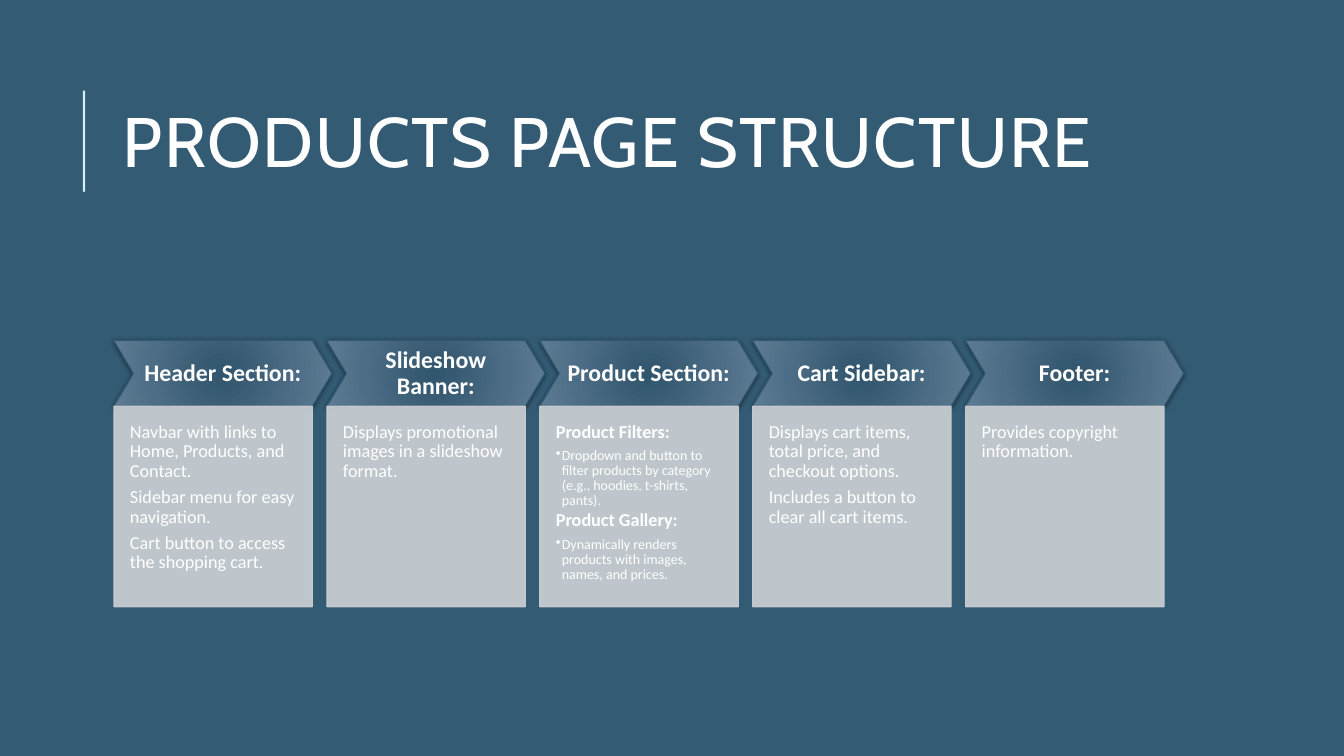
from dataclasses import dataclass

from pptx import Presentation
from pptx import util as u
from pptx.dml.color import RGBColor
from pptx.enum import shapes, text
from pptx.oxml import parse_xml
from pptx.oxml.ns import nsdecls, qn

COLUMNS, ROWS = 160, 90
CELL = u.Inches(1) // 12


@dataclass(frozen=True)
class Theme:
    background: str = "335B74"
    accent: str = "1CADE4"
    ink: str = "FFFFFF"
    panel: str = "CED2D6"
    arrow_inner: str = "30556C"
    arrow_outer: str = "5D7B94"
    shadow: str = "000000"
    title_font: str = "Cabin"
    body_font: str = "Calibri"
    title_size: int = 50
    heading_size: int = 17
    body_size: int = 13
    detail_size: int = 10


@dataclass(frozen=True)
class Area:
    column: float
    row: float
    columns: float
    rows: float

    def emu(self) -> tuple:
        return tuple(cells(n) for n in (self.column, self.row, self.columns, self.rows))


@dataclass(frozen=True)
class Entry:
    text: str
    bold: bool = False
    bullet: bool = False


@dataclass(frozen=True)
class Section:
    heading: str
    entries: tuple


THEME = Theme()
TITLE_AREA = Area(13.44, 7.68, 127.56, 19.68)
RULE_COLUMN, RULE_TOP, RULE_BOTTOM = 10, 10.8, 22.8
FIRST_COLUMN, PITCH = 13.56, 25.35
ARROW_TOP, ARROW_WIDTH, ARROW_HEIGHT = 40.56, 25.95, 7.8
PANEL_WIDTH, PANEL_HEIGHT = 23.64, 23.88

SECTIONS = (
    Section("Header Section:", (
        Entry("Navbar with links to Home, Products, and Contact."),
        Entry("Sidebar menu for easy navigation."),
        Entry("Cart button to access the shopping cart."),
    )),
    Section("Slideshow Banner:", (
        Entry("Displays promotional images in a slideshow format."),
    )),
    Section("Product Section:", (
        Entry("Product Filters:", bold=True),
        Entry("Dropdown and button to filter products by category "
              "(e.g., hoodies, t-shirts, pants).", bullet=True),
        Entry("Product Gallery:", bold=True),
        Entry("Dynamically renders products with images, names, and prices.", bullet=True),
    )),
    Section("Cart Sidebar:", (
        Entry("Displays cart items, total price, and checkout options."),
        Entry("Includes a button to clear all cart items."),
    )),
    Section("Footer:", (Entry("Provides copyright information."),)),
)


def cells(count: float) -> int:
    return round(count * CELL)


def color(value: str) -> RGBColor:
    return RGBColor.from_string(value)


def set_opacity(shape, percent: int) -> None:
    for tone in shape._element.spPr.iter(qn("a:srgbClr")):
        tone.append(parse_xml(f'<a:alpha {nsdecls("a")} val="{percent * 1000}"/>'))


def prepare_frame(box, *, anchor, margins: tuple):
    frame = box.text_frame
    frame.word_wrap = True
    frame.vertical_anchor = anchor
    frame.margin_left, frame.margin_top, frame.margin_right, frame.margin_bottom = (
        cells(margin) for margin in margins)
    return frame


def write(para, words: str, *, size: int, font: str = THEME.body_font, bold: bool = False,
          align=text.PP_ALIGN.LEFT, line_spacing: float = 0.9, after: float = 0,
          tracking: int = 0, bullet: bool = False) -> None:
    para.alignment = align
    para.line_spacing = line_spacing
    para.space_before = u.Pt(0)
    para.space_after = u.Pt(after)
    if bullet:
        para.level = 1
        properties = para._p.get_or_add_pPr()
        properties.set("marL", str(u.Inches(0.06)))
        properties.set("indent", str(-u.Inches(0.06)))
        properties.append(parse_xml(f'<a:buChar {nsdecls("a")} char="•"/>'))
    span = para.add_run()
    span.text = words
    span.font.name = font
    span.font.size = u.Pt(size)
    span.font.bold = bold
    span.font.color.rgb = color(THEME.ink)
    if tracking:
        span.font._element.set("spc", str(tracking * 100))


def draw_rule(page, tone: str, opacity: int) -> None:
    rule = page.shapes.add_connector(
        shapes.MSO_CONNECTOR.STRAIGHT, cells(RULE_COLUMN), cells(RULE_BOTTOM),
        cells(RULE_COLUMN), cells(RULE_TOP))
    rule.line.color.rgb = color(tone)
    rule.line.width = u.Pt(1.5)
    rule._element.spPr.append(parse_xml(f'<a:effectLst {nsdecls("a")}/>'))
    set_opacity(rule, opacity)


def draw_title(page) -> None:
    box = page.shapes.add_textbox(*TITLE_AREA.emu())
    frame = prepare_frame(box, anchor=text.MSO_ANCHOR.MIDDLE, margins=(1.2, 0.6, 1.2, 0.6))
    write(frame.paragraphs[0], "PRODUCTS PAGE STRUCTURE", size=THEME.title_size,
          font=THEME.title_font, line_spacing=0.8, tracking=1)


def add_block(page, kind, area: Area, outline: str):
    block = page.shapes.add_shape(kind, *area.emu())
    block.shadow.inherit = False
    block.line.color.rgb = color(outline)
    block.line.width = u.Pt(0.75)
    return block


def draw_arrow(page, column: float, heading: str) -> None:
    arrow = add_block(page, shapes.MSO_SHAPE.CHEVRON,
                      Area(column, ARROW_TOP, ARROW_WIDTH, ARROW_HEIGHT), THEME.background)
    arrow.adjustments[0] = 0.3
    arrow.fill.background()
    properties = arrow._element.spPr
    properties.replace(properties.find(qn("a:noFill")), parse_xml(
        f'<a:gradFill {nsdecls("a")} rotWithShape="1"><a:gsLst>'
        f'<a:gs pos="0"><a:srgbClr val="{THEME.arrow_inner}"/></a:gs>'
        f'<a:gs pos="100000"><a:srgbClr val="{THEME.arrow_outer}"/></a:gs></a:gsLst>'
        '<a:path path="circle"><a:fillToRect l="100000" t="100000" r="100000" b="100000"/>'
        '</a:path></a:gradFill>'))
    properties.find(qn("a:effectLst")).append(parse_xml(
        f'<a:outerShdw {nsdecls("a")} blurRad="{u.Pt(4)}" dist="{u.Pt(1)}" dir="5400000" '
        f'rotWithShape="0"><a:srgbClr val="{THEME.shadow}"><a:alpha val="50000"/>'
        '</a:srgbClr></a:outerShdw>'))
    frame = prepare_frame(arrow, anchor=text.MSO_ANCHOR.MIDDLE, margins=(0.96,) * 4)
    write(frame.paragraphs[0], heading, size=THEME.heading_size, bold=True,
          align=text.PP_ALIGN.CENTER)


def draw_panel(page, column: float, entries: tuple) -> None:
    panel = add_block(page, shapes.MSO_SHAPE.RECTANGLE,
                      Area(column, ARROW_TOP + ARROW_HEIGHT, PANEL_WIDTH, PANEL_HEIGHT),
                      THEME.panel)
    panel.fill.solid()
    panel.fill.fore_color.rgb = color(THEME.panel)
    set_opacity(panel, 90)
    frame = prepare_frame(panel, anchor=text.MSO_ANCHOR.TOP, margins=(1.92, 1.92, 1.92, 3.72))
    for index, entry in enumerate(entries):
        para = frame.add_paragraph() if index else frame.paragraphs[0]
        size = THEME.detail_size if entry.bullet else THEME.body_size
        share = 0.15 if entry.bullet else 0.35
        write(para, entry.text, size=size, bold=entry.bold, after=size * share,
              bullet=entry.bullet)


def main() -> None:
    deck = Presentation()
    deck.slide_width, deck.slide_height = cells(COLUMNS), cells(ROWS)
    page = deck.slides.add_slide(deck.slide_layouts[6])
    page.background.fill.solid()
    page.background.fill.fore_color.rgb = color(THEME.background)
    draw_rule(page, THEME.accent, 100)
    draw_title(page)
    draw_rule(page, THEME.ink, 80)
    for index, section in enumerate(SECTIONS):
        column = FIRST_COLUMN + index * PITCH
        draw_arrow(page, column, section.heading)
        draw_panel(page, column, section.entries)
    deck.save("out.pptx")


if __name__ == "__main__":
    main()
